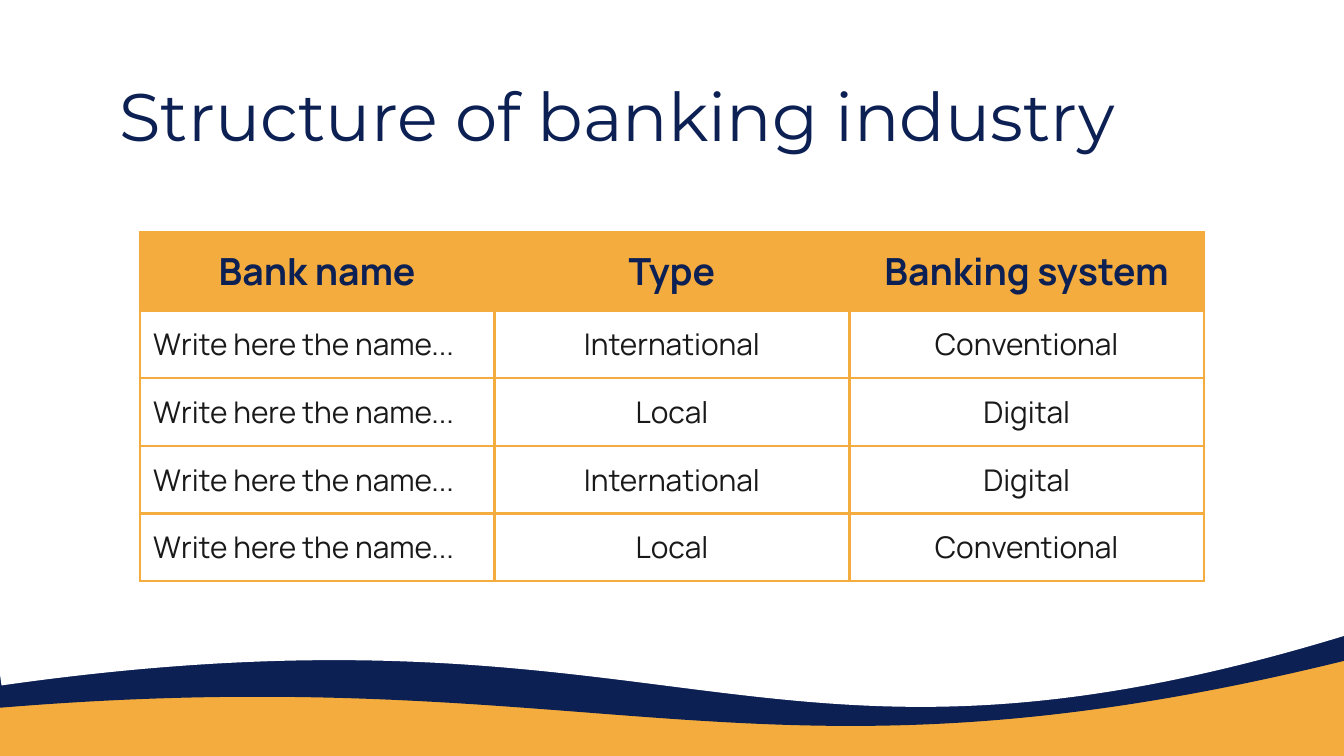
import pptx
import pptx.dml.color
import pptx.enum.shapes
import pptx.enum.text
import pptx.oxml
import pptx.oxml.ns
import pptx.util
from pptx.util import Inches

NAVY, ORANGE, WHITE, BLACK = "0C2054", "F3AC3D", "FFFFFF", "191919"
ALIGN = pptx.enum.text.PP_ALIGN


def color(hex_string):
    return pptx.dml.color.RGBColor.from_string(hex_string)


def write(frame, text, font, size, ink, bold=False, align=ALIGN.LEFT):
    """Fill a text frame with one formatted paragraph."""
    frame.margin_left = frame.margin_right = Inches(0.1)
    frame.margin_top = frame.margin_bottom = Inches(0.1)
    paragraph = frame.paragraphs[0]
    paragraph.alignment = align
    run = paragraph.add_run()
    run.text = text
    run.font.name = font
    run.font.size = pptx.util.Pt(size)
    run.font.bold = bold
    run.font.color.rgb = color(ink)


presentation = pptx.Presentation()
presentation.slide_width = Inches(10)
presentation.slide_height = Inches(10) * 9 // 16
slide = presentation.slides.add_slide(presentation.slide_layouts[5])
slide.background.fill.solid()
slide.background.fill.fore_color.rgb = color(ORANGE)

# Waves: navy behind, white in front, orange background below
waves = [(-2.08, -0.7, 13.55, NAVY), (-0.32, -0.88, 10.94, WHITE)]
for left, top, width, fill in waves:
    wave = slide.shapes.add_shape(
        pptx.enum.shapes.MSO_SHAPE.FLOWCHART_DOCUMENT,
        Inches(left), Inches(top), Inches(width), Inches(6.52))
    wave.shadow.inherit = False
    wave.fill.solid()
    wave.fill.fore_color.rgb = color(fill)
    wave.line.fill.background()
    wave.rotation = 351.9
    wave._element.spPr.find(pptx.oxml.ns.qn("a:xfrm")).set("flipH", "1")

# Title, raised above the waves
title = slide.shapes.title
slide.shapes._spTree.append(title._element)
title.left, title.top = Inches(0.79), Inches(0.59)
title.width, title.height = Inches(8.43), Inches(0.53)
title.text_frame.auto_size = pptx.enum.text.MSO_AUTO_SIZE.NONE
title.text_frame.word_wrap = True
title.text_frame.vertical_anchor = pptx.enum.text.MSO_ANCHOR.MIDDLE
write(title.text_frame, "Structure of banking industry", "Montserrat", 36, NAVY)

# Table
rows = [
    ("Bank name", "Type", "Banking system"),
    ("Write here the name...", "International", "Conventional"),
    ("Write here the name...", "Local", "Digital"),
    ("Write here the name...", "International", "Digital"),
    ("Write here the name...", "Local", "Conventional"),
]
table = slide.shapes.add_table(
    len(rows), 3, Inches(1.04), Inches(1.73),
    Inches(3 * 2.64), Inches(len(rows) * 0.42)).table
table.first_row = table.horz_banding = False
for column in table.columns:
    column.width = Inches(2.64)

for row_index, row in enumerate(rows):
    table.rows[row_index].height = Inches(0.42)
    header = row_index == 0
    for column_index, text in enumerate(row):
        cell = table.cell(row_index, column_index)
        properties = cell._tc.get_or_add_tcPr()
        for side in ("lnL", "lnR", "lnT", "lnB"):
            properties.append(pptx.oxml.parse_xml(
                f'<a:{side} {pptx.oxml.ns.nsdecls("a")} w="{pptx.util.Pt(1.5)}">'
                f'<a:solidFill><a:srgbClr val="{ORANGE}"/></a:solidFill></a:{side}>'))
        if header:
            cell.fill.solid()
            cell.fill.fore_color.rgb = color(ORANGE)
        else:
            cell.fill.background()
        cell.margin_left = cell.margin_right = Inches(0.1)
        cell.margin_top = cell.margin_bottom = Inches(0.1)
        write(cell.text_frame, text, "Manrope", 20 if header else 16,
              NAVY if header else BLACK, bold=header,
              align=ALIGN.CENTER if header or column_index else ALIGN.LEFT)

presentation.save("out.pptx")
